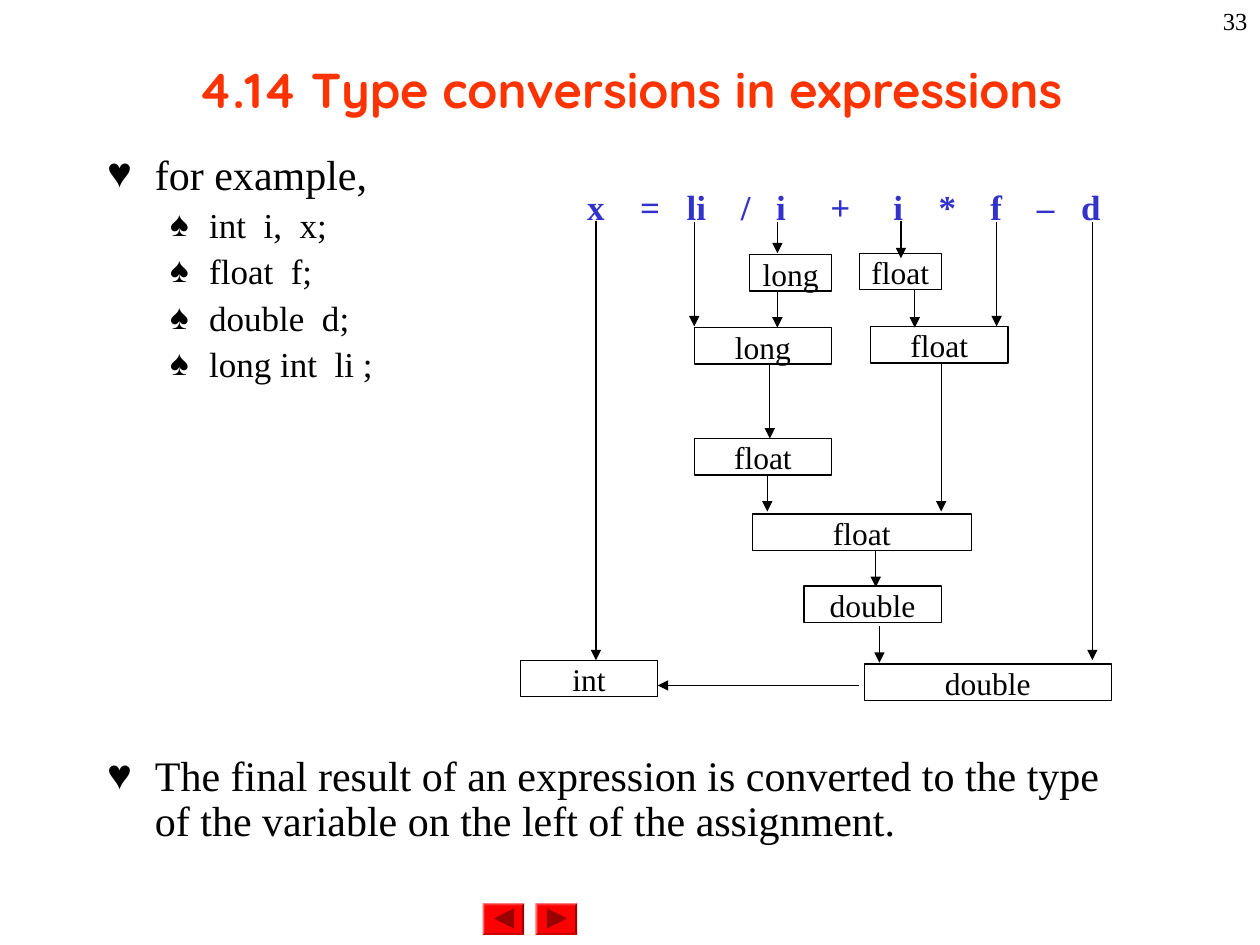
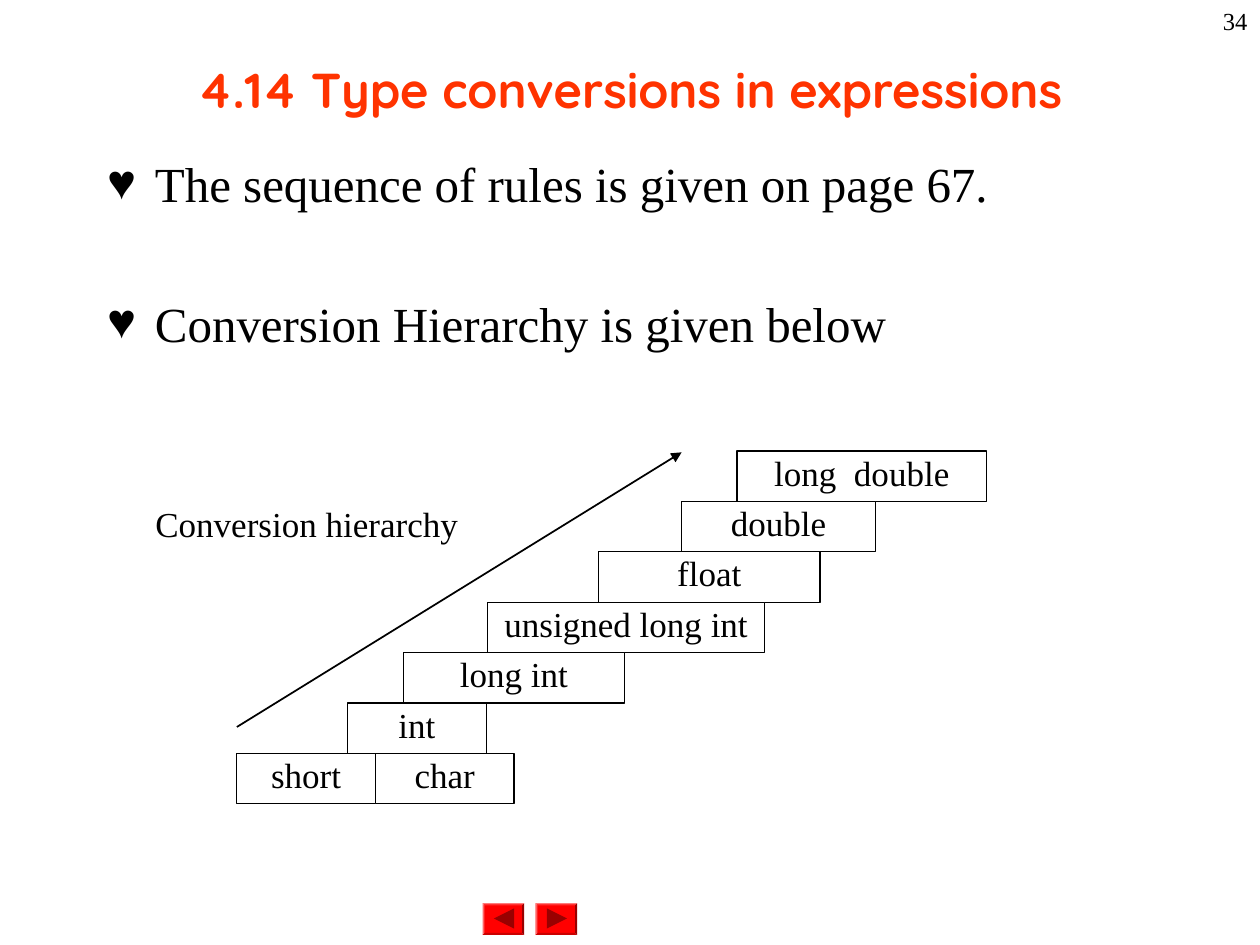
from lxml.etree import SubElement
from pptx import Presentation
from pptx.dml.color import RGBColor
from pptx.enum.shapes import MSO_CONNECTOR, MSO_SHAPE
from pptx.enum.text import MSO_ANCHOR, MSO_AUTO_SIZE, PP_ALIGN
from pptx.oxml.ns import qn
from pptx.util import Inches, Pt

HUES = {"ink": "000000", "paper": "FFFFFF", "title": "FF3300",
        "code": "3333CC", "key": "FF0000", "mark": "990000"}
HUES = {name: RGBColor.from_string(hue) for name, hue in HUES.items()}
SERIF = "Times New Roman"
HEAD = "4.14 Type conversions in expressions"
MARKS = ["♥", "♠"]
DENTS = [(0.38, -0.38), (0.81, -0.31)]


def box(slide, text, spot, size, edge=True, align=PP_ALIGN.CENTER, hue="ink"):
    shape = slide.shapes.add_shape(MSO_SHAPE.RECTANGLE, *map(Inches, spot))
    shape.shadow.inherit = False
    shape.fill.solid()
    shape.fill.fore_color.rgb = HUES["paper"]
    if edge:
        shape.line.color.rgb = HUES["ink"]
        shape.line.width = Pt(0.75)
    else:
        shape.line.fill.background()
    frame = shape.text_frame
    frame.margin_left = frame.margin_right = 0
    frame.margin_top = frame.margin_bottom = 0
    frame.vertical_anchor = MSO_ANCHOR.TOP
    frame.word_wrap = True
    para = frame.paragraphs[0]
    para.alignment = align
    run = para.add_run()
    run.text = text
    run.font.name = SERIF
    run.font.size = Pt(size)
    run.font.color.rgb = HUES[hue]
    return para


def arrow(slide, ends, width=0.75):
    link = slide.shapes.add_connector(MSO_CONNECTOR.STRAIGHT, *map(Inches, ends))
    link.line.color.rgb = HUES["ink"]
    link.line.width = Pt(width)
    SubElement(link.line._get_or_add_ln(), qn("a:tailEnd"), type="triangle")
    SubElement(link._element.spPr, qn("a:effectLst"))


deck = Presentation()
deck.slide_width = Inches(10)
deck.slide_height = Inches(7.5)

pages = [
    ("33", 0.9, [
        ("for example,", 0, 24, 6),
        ("int  i,  x;", 1, 20, 5),
        ("float  f;", 1, 20, 5),
        ("double  d;", 1, 20, 5),
        ("long int  li ;", 1, 20, 5),
        ("The final result of an expression is converted to the type "
         "of the variable on the left of the assignment.", 0, 24, 211.5),
    ]),
    ("34", 1.0, [
        ("The sequence of rules is given on page 67.", 0, 28, 7),
        ("Conversion Hierarchy is given below", 0, 28, 46),
    ]),
]

for number, pitch, items in pages:
    slide = deck.slides.add_slide(deck.slide_layouts[1])
    title, body = slide.placeholders
    for holder, spot in ((title, (0.75, 0.08, 8.5, 1.25)),
                         (body, (0.75, 1.17, 8.42, 5.9))):
        holder.left, holder.top, holder.width, holder.height = map(Inches, spot)
        holder.text_frame.auto_size = MSO_AUTO_SIZE.NONE
        holder.text_frame.word_wrap = True

    para = title.text_frame.paragraphs[0]
    para.alignment = PP_ALIGN.CENTER
    run = para.add_run()
    run.text = HEAD
    run.font.name = "Quicksand"
    run.font.size = Pt(28)
    run.font.bold = True
    run.font.color.rgb = HUES["title"]

    for rank, (text, level, size, gap) in enumerate(items):
        frame = body.text_frame
        para = frame.add_paragraph() if rank else frame.paragraphs[0]
        para.level = level
        para.line_spacing = pitch
        para.space_before = Pt(gap)
        props = para._p.get_or_add_pPr()
        left, dent = DENTS[level]
        props.set("marL", str(Inches(left)))
        props.set("indent", str(Inches(dent)))
        tint = SubElement(props, qn("a:buClr"))
        SubElement(tint, qn("a:srgbClr"), val=str(HUES["ink"]))
        SubElement(props, qn("a:buFont"), typeface=SERIF)
        SubElement(props, qn("a:buChar"), char=MARKS[level])
        run = para.add_run()
        run.text = text
        run.font.name = SERIF
        run.font.size = Pt(size)
        run.font.color.rgb = HUES["ink"]

    box(slide, number, (7.92, 0.05, 1.98, 0.4), 14, False, PP_ALIGN.RIGHT)

    for left, turn in ((3.83, -90), (4.25, 90)):
        for kind, spot, hue in (
                (MSO_SHAPE.BEVEL, (left, 7.17, 0.33, 0.25), "key"),
                (MSO_SHAPE.ISOSCELES_TRIANGLE, (left + 0.09, 7.21, 0.16, 0.16), "mark")):
            part = slide.shapes.add_shape(kind, *map(Inches, spot))
            part.shadow.inherit = False
            part.fill.solid()
            part.fill.fore_color.rgb = HUES[hue]
            part.line.fill.background()
            if hue == "key":
                part.adjustments[0] = 0.06
            else:
                part.rotation = turn

first, second = deck.slides

terms = ["x", "=", "li", "/", "i", "+", "i", "*", "f", "–", "d"]
stops = [0.42, 0.79, 1.22, 1.5, 1.93, 2.43, 2.79, 3.2, 3.57, 3.92]
para = box(first, "\t".join(terms), (4.66, 1.47, 4.36, 0.29), 20,
           False, PP_ALIGN.LEFT, "code")
para.runs[0].font.bold = True
tabs = SubElement(para._p.get_or_add_pPr(), qn("a:tabLst"))
for stop in stops:
    SubElement(tabs, qn("a:tab"), pos=str(Inches(stop)), algn="l")

types = [
    ("long", 5.95, 2.02, 0.65), ("float", 6.82, 2.01, 0.65),
    ("long", 5.51, 2.6, 1.09), ("float", 6.91, 2.59, 1.09),
    ("float", 5.51, 3.48, 1.09), ("float", 5.97, 4.08, 1.74),
    ("double", 6.38, 4.65, 1.09), ("double", 6.86, 5.27, 1.96),
    ("int", 4.13, 5.24, 1.09),
]
for text, left, top, width in types:
    box(first, text, (left, top, width, 0.29), 18)

drops = [
    (4.73, 1.75, 5.24), (5.51, 1.76, 2.59), (6.17, 1.76, 2.01),
    (7.15, 1.75, 2.05), (7.91, 1.76, 2.59), (8.67, 1.76, 5.24),
    (6.17, 2.3, 2.6), (7.26, 2.3, 2.6), (6.11, 2.9, 3.48),
    (7.47, 2.89, 4.06), (6.09, 3.78, 4.06), (6.95, 4.37, 4.66),
    (6.98, 4.97, 5.26),
]
for across, top, base in drops:
    arrow(first, (across, top, across, base))
arrow(first, (6.82, 5.44, 5.22, 5.44))

box(second, "Conversion hierarchy", (1.22, 3.99, 2.43, 0.4), 20, False)
steps = [
    ("long  double", 0, 5.85, 1.98), ("double", 1, 5.41, 1.54),
    ("float", 2, 4.75, 1.76), ("unsigned long int", 3, 3.87, 2.2),
    ("long int", 4, 3.2, 1.76), ("int", 5, 2.76, 1.1),
    ("short", 6, 1.88, 1.1), ("char", 6, 2.98, 1.1),
]
for text, row, left, width in steps:
    box(second, text, (left, 3.58 + 0.4 * row, width, 0.4), 20)
arrow(second, (1.88, 5.77, 5.41, 3.59), 1)

deck.save("out.pptx")
